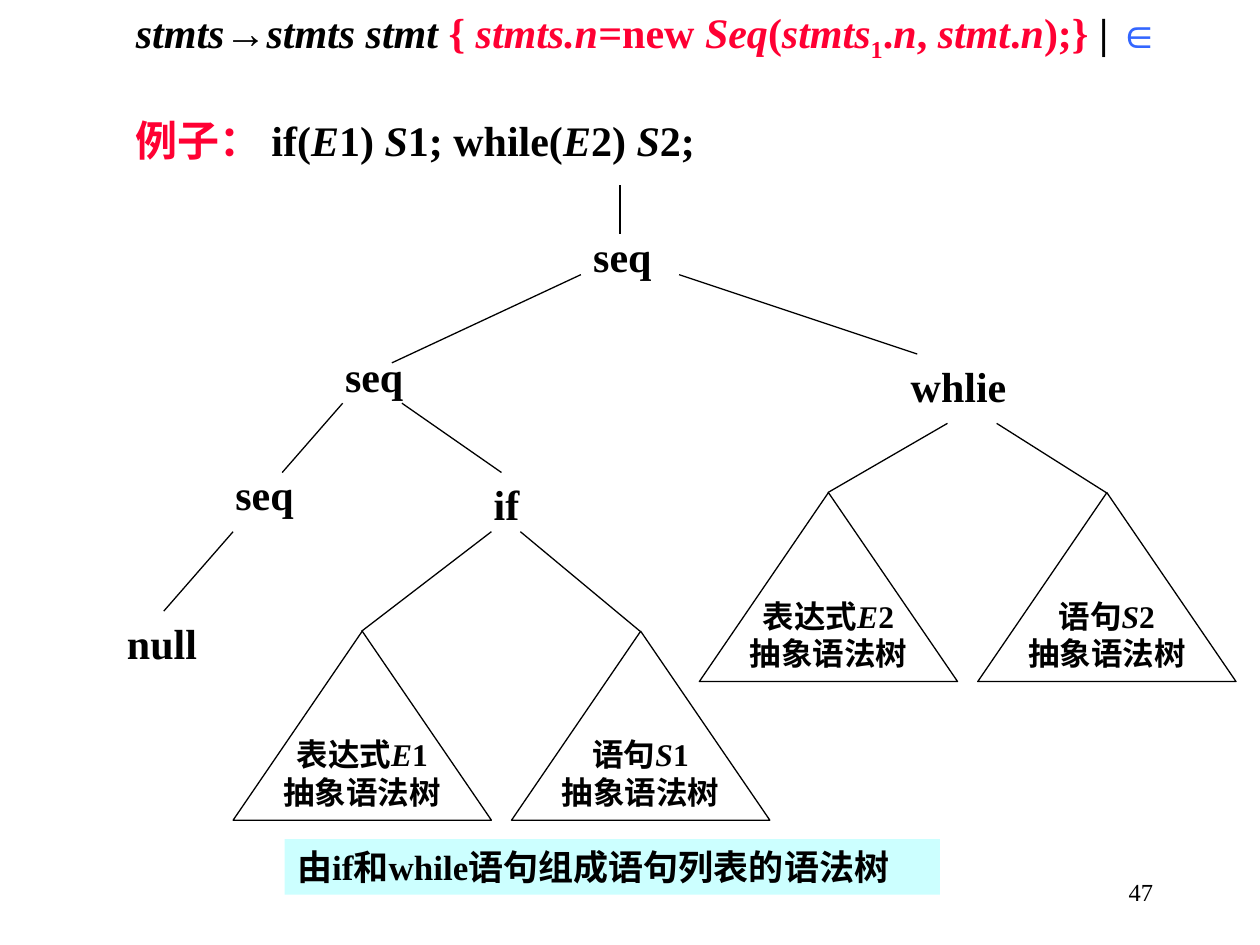
from pptx import Presentation
from pptx.dml.color import RGBColor as RGB
from pptx.enum.shapes import MSO_CONNECTOR as LINK, MSO_SHAPE as SHAPE
from pptx.enum.text import MSO_ANCHOR as ANCHOR, MSO_AUTO_SIZE as FIT, PP_ALIGN as ALIGN
from pptx.oxml.ns import qn
from pptx.util import Inches, Pt

BLACK, RED, BLUE, CYAN = "000000", "FF0033", "3366FF", "CCFFFF"
FACE = "Times New Roman"

# Tree labels: text, left, top, width
NODES = [
    ("seq", 4.61, 1.78, 0.7),
    ("seq", 2.64, 2.73, 0.7),
    ("whlie", 7.13, 2.81, 1),
    ("seq", 1.77, 3.67, 0.7),
    ("if", 3.82, 3.75, 0.45),
    ("null", 0.91, 4.85, 0.8),
]
# Subtrees: label, left, top
TREES = [
    ("表达式*E*1", 1.85, 5.01),
    ("语句*S*1", 4.06, 5.01),
    ("语句*S*2", 7.76, 3.91),
    ("表达式*E*2", 5.55, 3.91),
]
# Branches: start x, y, end x, y
EDGES = [
    (4.61, 2.18, 3.11, 2.88),
    (5.39, 2.18, 7.28, 2.81),
    (2.72, 3.2, 2.24, 3.75),
    (3.19, 3.2, 3.98, 3.75),
    (3.9, 4.22, 2.87, 5.01),
    (4.13, 4.22, 5.08, 5.01),
    (7.52, 3.36, 6.57, 3.91),
    (7.91, 3.36, 8.78, 3.91),
    (1.85, 4.22, 1.3, 4.85),
    (4.92, 1.47, 4.92, 1.86),
]


def tint(fmt, color):
    fmt.rgb = RGB.from_string(color)


def style(par, size, bold=True, color=None):
    font = par.font
    font.name, font.size, font.bold = FACE, Pt(size), bold
    if color:
        tint(font.color, color)


def put(par, text, color=None):
    """Add runs, with italics between asterisks; return the last run."""
    run = None
    for i, bit in enumerate(text.split("*")):
        if bit:
            run = par.add_run()
            run.text = bit
            run.font.italic = i % 2 == 1
            if color:
                tint(run.font.color, color)
    return run


def add_box(slide, left, top, width, height, wrap=True, fit=FIT.SHAPE_TO_FIT_TEXT):
    box = slide.shapes.add_textbox(
        Inches(left), Inches(top), Inches(width), Inches(height))
    box.text_frame.word_wrap = wrap
    box.text_frame.auto_size = fit
    return box


def add_rule(slide):
    frame = add_box(slide, 0.98, 0, 8.58, 1.36).text_frame
    rule = frame.paragraphs[0]
    style(rule, 24)
    put(rule, "*stmts*", BLACK)
    put(rule, "→", BLACK).font.name = "Arial"
    put(rule, "*stmts stmt *", BLACK)
    put(rule, "{ *stmts.n*=new *Seq*(*stmts*", RED)
    sub = put(rule, "1", RED)
    sub.font._element.set("baseline", "-25000")
    put(rule, ".*n*, *stmt*.*n*);} ", RED)
    put(rule, "| ", BLACK)
    put(rule, "∈", BLUE)
    case = frame.add_paragraph()
    case.space_before = Pt(29)
    style(case, 24)
    put(case, "例子： ", RED)
    put(case, "if(*E*1) *S*1; while(*E*2) *S*2;", BLACK)


def add_node(slide, text, left, top, width):
    box = add_box(slide, left, top, width, 0.5, wrap=False)
    par = box.text_frame.paragraphs[0]
    style(par, 24, color=BLACK)
    put(par, text)


def add_tree(slide, label, left, top):
    tree = slide.shapes.add_shape(
        SHAPE.ISOSCELES_TRIANGLE, Inches(left), Inches(top), Inches(2.05), Inches(1.5))
    tree.shadow.inherit = False
    tree.fill.background()
    tint(tree.line.color, BLACK)
    tree.line.width = Pt(0.75)
    frame = tree.text_frame
    frame.word_wrap = False
    frame.vertical_anchor = ANCHOR.MIDDLE
    frame.add_paragraph()
    for par, text in zip(frame.paragraphs, (label, "抽象语法树")):
        par.alignment = ALIGN.CENTER
        style(par, 18, color=BLACK)
        put(par, text, BLACK)


def add_edge(slide, x1, y1, x2, y2):
    edge = slide.shapes.add_connector(
        LINK.STRAIGHT, Inches(x1), Inches(y1), Inches(x2), Inches(y2))
    tint(edge.line.color, BLACK)
    edge.line.width = Pt(0.75)
    props = edge._element.spPr
    props.append(props.makeelement(qn("a:effectLst"), {}))


def add_note(slide):
    box = add_box(slide, 2.26, 6.66, 5.2, 0.44, wrap=False)
    box.fill.solid()
    tint(box.fill.fore_color, CYAN)
    par = box.text_frame.paragraphs[0]
    style(par, 20, color=BLACK)
    put(par, "由if和while语句组成语句列表的语法树")


def add_page(slide):
    frame = add_box(slide, 7.17, 6.83, 2.08, 0.5, fit=FIT.NONE).text_frame
    frame.vertical_anchor = ANCHOR.MIDDLE
    par = frame.paragraphs[0]
    par.alignment = ALIGN.RIGHT
    style(par, 14, bold=False, color=BLACK)
    put(par, "47")


def main():
    deck = Presentation()
    deck.slide_width, deck.slide_height = Inches(10), Inches(7.5)
    slide = deck.slides.add_slide(deck.slide_layouts[6])
    # Grammar rule and example
    add_rule(slide)
    # Syntax tree
    for node in NODES:
        add_node(slide, *node)
    for tree in TREES:
        add_tree(slide, *tree)
    for edge in EDGES:
        add_edge(slide, *edge)
    # Caption and page number
    add_note(slide)
    add_page(slide)
    deck.save("out.pptx")


if __name__ == "__main__":
    main()
